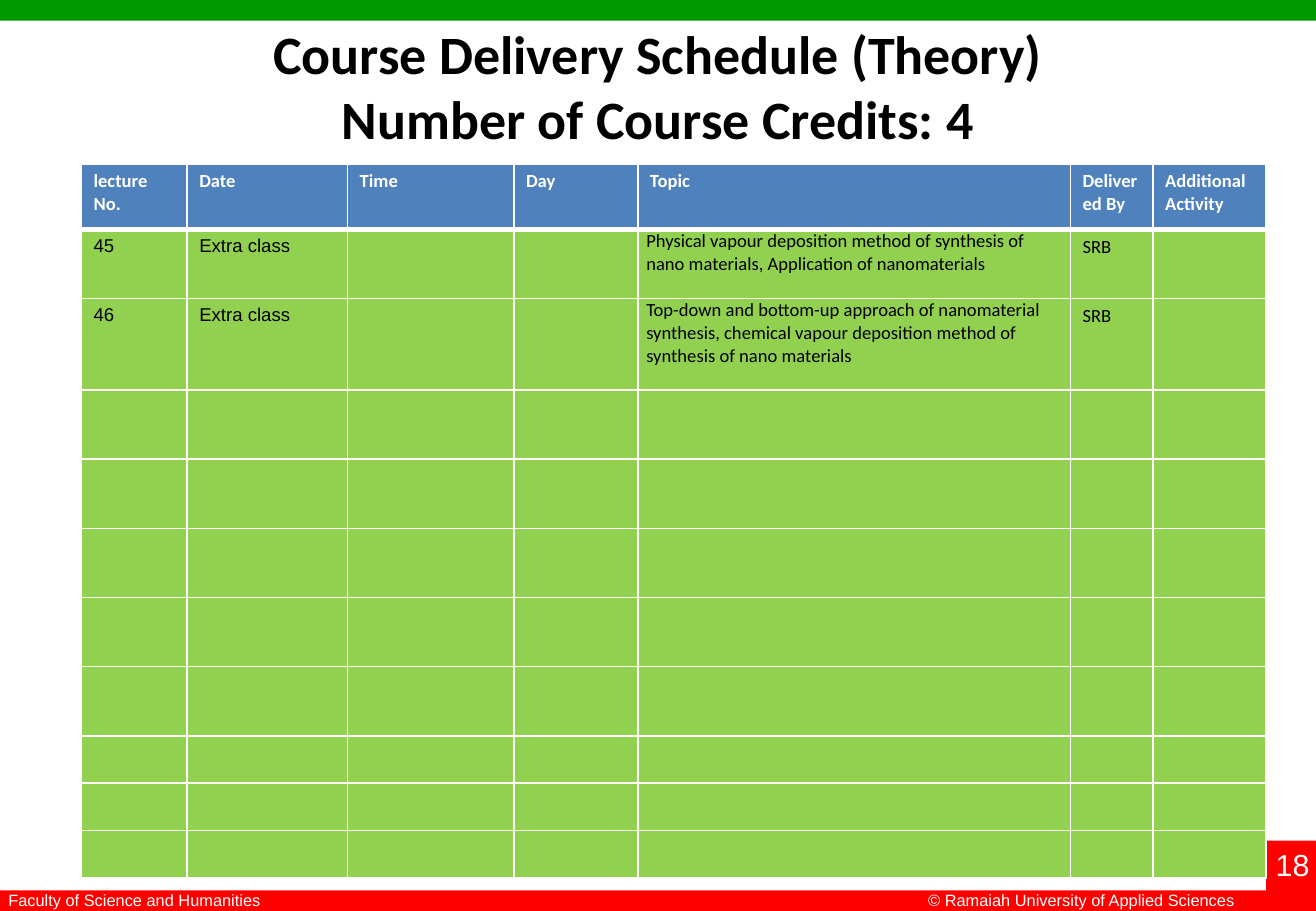
from dataclasses import dataclass

from lxml import etree
from pptx import Presentation
from pptx.dml.color import RGBColor
from pptx.enum.shapes import MSO_SHAPE
from pptx.enum.text import MSO_ANCHOR, PP_ALIGN
from pptx.oxml.ns import qn
from pptx.util import Inches, Pt

RECT = MSO_SHAPE.RECTANGLE
TOP = MSO_ANCHOR.TOP
LEFT, CENTER = PP_ALIGN.LEFT, PP_ALIGN.CENTER
TITLE_ONLY = 5


@dataclass(frozen=True)
class Theme:
    """Colours, fonts and type sizes of the slide."""
    black: str = "000000"
    white: str = "FFFFFF"
    green: str = "009900"
    red: str = "FF0000"
    header: str = "4F81BD"
    body: str = "92D050"
    heading_font: str = "Calibri"
    plain_font: str = "Arial"
    title_size: float = 32
    number_size: float = 18
    table_size: float = 11
    footer_size: float = 9.7
    rule: float = 1
    heavy_rule: float = 3


T = Theme()

BARS = [
    (0, 0, 10.83, 0.17, T.green),
    (0, 7.33, 10.83, 0.17, T.red),
    (10.42, 6.92, 0.42, 0.58, T.red),
]
LABELS = [
    ("© Ramaiah University of Applied Sciences", 7.54, 7.28, 2.75, 0.26, T.footer_size, False),
    ("18", 10.4, 6.92, 0.51, 0.4, T.number_size, False),
    ("Faculty of Science and Humanities", -0.03, 7.28, 3.19, 0.26, T.footer_size, True),
]
COLUMNS = [0.87, 1.32, 1.37, 1.02, 3.56, 0.68, 0.93]
ROWS = [0.54, 0.57, 0.75] + [0.57] * 5 + [0.39] * 3
TOPIC = 4
ARIAL_COLUMNS = (0, 1)
LECTURES = [
    ["lecture No.", "Date", "Time", "Day", "Topic", "Delivered By", "Additional Activity"],
    ["45", "Extra class", "", "",
     "Physical vapour deposition method of synthesis of nano materials, "
     "Application of nanomaterials", "SRB", ""],
    ["46", "Extra class", "", "",
     "Top-down and bottom-up approach of nanomaterial synthesis, chemical vapour "
     "deposition method of synthesis of nano materials", "SRB", ""],
]


def apply(obj, values):
    """Set each attribute named in a dict of format values."""
    for name, value in values.items():
        setattr(obj, name, value)


def write(tf, text, size, font, color, bold=False, align=LEFT):
    """Put one formatted paragraph in a text frame."""
    p = tf.paragraphs[0]
    p.text = text
    p.alignment = align
    for r in p.runs:
        apply(r.font, {"size": Pt(size), "name": font, "bold": bold})
        r.font.color.rgb = RGBColor.from_string(color)


def add_bar(s, x, y, w, h, color):
    """Add a plain filled rectangle."""
    sp = s.shapes.add_shape(RECT, Inches(x), Inches(y), Inches(w), Inches(h))
    sp.shadow.inherit = False
    sp.fill.solid()
    sp.fill.fore_color.rgb = RGBColor.from_string(color)
    sp.line.fill.background()


def add_label(s, text, x, y, w, h, size, wrap):
    """Add a white label on a bar."""
    sp = s.shapes.add_textbox(Inches(x), Inches(y), Inches(w), Inches(h))
    sp.text_frame.word_wrap = wrap
    write(sp.text_frame, text, size, T.plain_font, T.white)


def set_title(s, text):
    """Place and format the title placeholder."""
    sp = s.shapes.title
    apply(sp, {"left": Inches(0.54), "top": Inches(0.09),
               "width": Inches(9.75), "height": Inches(1.25)})
    apply(sp.text_frame, {"word_wrap": True, "vertical_anchor": TOP,
                          "margin_top": Inches(0.08)})
    write(sp.text_frame, text, T.title_size, T.heading_font, T.black, True, CENTER)


def set_borders(cell, widths):
    """Draw white borders of the given widths on a cell."""
    pr = cell._tc.get_or_add_tcPr()
    for i, (side, width) in enumerate(widths.items()):
        ln = etree.Element(qn(f"a:ln{side}"), w=str(Pt(width)))
        fill = etree.SubElement(ln, qn("a:solidFill"))
        etree.SubElement(fill, qn("a:srgbClr"), val=T.white)
        pr.insert(i, ln)


def format_cell(cell, row, col, text):
    """Fill, border and write one cell of the schedule."""
    head = row == 0
    cell.fill.solid()
    cell.fill.fore_color.rgb = RGBColor.from_string(T.header if head else T.body)
    set_borders(cell, {"L": T.rule, "R": T.rule,
                       "T": T.heavy_rule if row == 1 else T.rule,
                       "B": T.heavy_rule if head else T.rule})
    if not text or (col == TOPIC and not head):
        apply(cell, {"margin_left": Inches(0.07), "margin_right": Inches(0.07),
                     "margin_top": 0, "margin_bottom": 0})
    font = T.plain_font if col in ARIAL_COLUMNS and not head else T.heading_font
    if text:
        write(cell.text_frame, text, T.table_size, font, T.white if head else T.black, head)


def add_schedule(s):
    """Add the lecture table with its blank rows."""
    table = s.shapes.add_table(len(ROWS), len(COLUMNS), Inches(0.67), Inches(1.35),
                               Inches(sum(COLUMNS)), Inches(sum(ROWS))).table
    for column, width in zip(table.columns, COLUMNS):
        column.width = Inches(width)
    for i, height in enumerate(ROWS):
        table.rows[i].height = Inches(height)
        texts = LECTURES[i] if i < len(LECTURES) else [""] * len(COLUMNS)
        for j, text in enumerate(texts):
            format_cell(table.cell(i, j), i, j, text)


def main():
    """Build the slide and save it."""
    prs = Presentation()
    apply(prs, {"slide_width": Inches(10.83), "slide_height": Inches(7.5)})
    s = prs.slides.add_slide(prs.slide_layouts[TITLE_ONLY])
    for bar in BARS:
        add_bar(s, *bar)
    for label in LABELS:
        add_label(s, *label)
    set_title(s, "Course Delivery Schedule (Theory)\vNumber of Course Credits: 4")
    add_schedule(s)
    prs.save("out.pptx")


if __name__ == "__main__":
    main()
